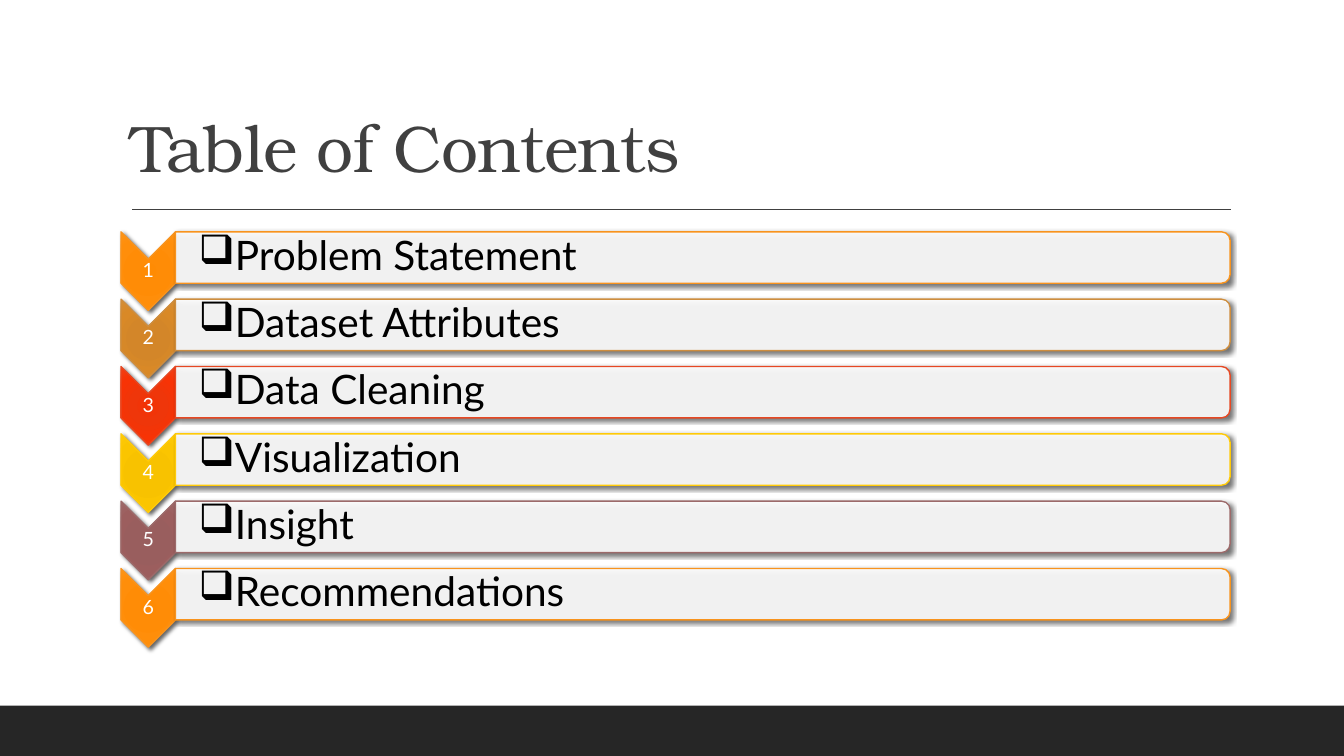
from lxml import etree
from pptx import Presentation
from pptx.dml.color import RGBColor
from pptx.enum.shapes import MSO_CONNECTOR, MSO_SHAPE
from pptx.enum.text import MSO_ANCHOR as ANCHOR, PP_ALIGN as ALIGN
from pptx.oxml import parse_xml
from pptx.oxml.ns import nsdecls, qn
from pptx.util import Inches, Pt

W, H = 13.33, 7.5
ORANGE = ("F8931D", ("FF8B03", "FF8C06", "FF8E0A", "FF9416"))
BRONZE = ("CE8D3E", ("D48526", "D38629", "D98927", "D58E37"))
RED = ("E64823", ("F23205", "EF360A", "F83305", "F04219"))
YELLOW = ("FFCA08", ("F5C000", "F8C200", "FBC500", "FFCA08"))
MAUVE = ("9C6A6A", ("985C5C", "995E5E", "9C5E5E", "9E6868"))
TOPICS = [
    ("Problem Statement", ORANGE),
    ("Dataset Attributes", BRONZE),
    ("Data Cleaning", RED),
    ("Visualization", YELLOW),
    ("Insight", MAUVE),
    ("Recommendations", ORANGE),
]
STOPS = (0, 34, 70, 100)


def rgb(hex_color):
    return RGBColor.from_string(hex_color)


def add_text(s, text, box, size, color, font="Lato", anchor=ANCHOR.MIDDLE,
             align=ALIGN.LEFT, insets=(0.1, 0.05, 0.1, 0.05)):
    tf = s.shapes.add_textbox(*map(Inches, box)).text_frame
    tf.word_wrap = True
    tf.vertical_anchor = anchor
    (tf.margin_left, tf.margin_top,
     tf.margin_right, tf.margin_bottom) = map(Inches, insets)
    p = tf.paragraphs[0]
    p.text = text
    p.alignment = align
    p.line_spacing = 0.9
    f = p.runs[0].font
    f.name, f.size, f.color.rgb = font, Pt(size), rgb(color)
    return p


def add_turned_shape(s, kind, x, y, w, h, line):
    """Add a shape turned by 90 degrees that fills the box x, y, w, h as seen."""
    sp = s.shapes.add_shape(kind, Inches(x + (w - h) / 2), Inches(y + (h - w) / 2),
                            Inches(h), Inches(w))
    sp.rotation = 90
    sp.line.color.rgb = rgb(line)
    sp.line.width = Pt(1)
    sp._element.spPr.append(parse_xml(
        f'<a:effectLst {nsdecls("a")}><a:outerShdw blurRad="38100" dist="25400" '
        'dir="2700000" algn="br" rotWithShape="0"><a:srgbClr val="000000">'
        '<a:alpha val="60000"/></a:srgbClr></a:outerShdw></a:effectLst>'))
    return sp


def fill_radial(sp, colors):
    stops = "".join(f'<a:gs pos="{pos * 1000}"><a:srgbClr val="{c}"/></a:gs>'
                    for pos, c in zip(STOPS, colors))
    sp._element.spPr.find(qn("a:prstGeom")).addnext(parse_xml(
        f'<a:gradFill {nsdecls("a")} rotWithShape="1"><a:gsLst>{stops}</a:gsLst>'
        '<a:path path="circle"><a:fillToRect l="100000" t="100000" r="100000" '
        'b="100000"/></a:path></a:gradFill>'))


def fill_translucent(sp, color, opacity):
    sp.fill.solid()
    sp.fill.fore_color.rgb = rgb(color)
    clr = sp._element.spPr.find(qn("a:solidFill"))[0]
    etree.SubElement(clr, qn("a:alpha")).set("val", str(opacity * 1000))


def add_bullet(p, char, indent):
    p.level = 1
    pPr = p._p.get_or_add_pPr()
    pPr.set("marL", str(Inches(indent)))
    pPr.set("indent", str(-Inches(indent)))
    etree.SubElement(pPr, qn("a:buChar")).set("char", char)


def add_footer_band(s, x, y, w, h):
    band = s.shapes.add_shape(MSO_SHAPE.RECTANGLE, *map(Inches, (x, y, w, h)))
    band.shadow.inherit = False
    band.fill.solid()
    band.fill.fore_color.rgb = rgb("262626")
    band.line.fill.background()


def add_title(s, x, y, w, h):
    """Set the title at the foot of the box, with a rule below it."""
    p = add_text(s, "Table of Contents", (x, y, w, h), 47, "404040",
                 font="TeX Gyre Bonum", anchor=ANCHOR.BOTTOM)
    p.runs[0]._r.get_or_add_rPr().set("spc", "-50")
    rule_y = Inches(y + h + 0.18)
    rule = s.shapes.add_connector(MSO_CONNECTOR.STRAIGHT, Inches(x + 0.11), rule_y,
                                  Inches(x + w + 0.01), rule_y)
    rule.line.color.rgb = rgb("404040")
    rule.line.width = Pt(1)
    etree.SubElement(rule._element.spPr, qn("a:effectLst"))


def add_topic(s, number, topic, theme, x, y, w, h):
    """Place a numbered chevron and, to its right, the bar with the topic."""
    line, colors = theme
    chevron_w, bar_h, notch = 0.54, 0.51, 0.27
    bar_x, bar_w = x + chevron_w, w - chevron_w

    chevron = add_turned_shape(s, MSO_SHAPE.CHEVRON, x, y, chevron_w, h, line)
    fill_radial(chevron, colors)
    add_text(s, str(number), (x, y + notch, chevron_w, h - 2 * notch), 14, "FFFFFF",
             align=ALIGN.CENTER, insets=[0.01] * 4)

    bar = add_turned_shape(s, MSO_SHAPE.ROUND_2_SAME_RECTANGLE,
                           bar_x, y, bar_w, bar_h, line)
    fill_translucent(bar, "FFFFFF", 90)
    p = add_text(s, topic, (bar_x, y + 0.02, bar_w, bar_h - 0.05), 29, "000000",
                 insets=(0.23, 0.02, 0.02, 0.02))
    add_bullet(p, "❑", 0.31)


def add_topic_list(s, x, y, w, h):
    chevron_h = 0.78
    pitch = (h - chevron_h) / (len(TOPICS) - 1)
    for i, (topic, theme) in enumerate(TOPICS):
        add_topic(s, i + 1, topic, theme, x, y + i * pitch, w, chevron_h)


def main():
    prs = Presentation()
    prs.slide_width, prs.slide_height = Inches(W), Inches(H)
    s = prs.slides.add_slide(prs.slide_layouts[6])
    add_footer_band(s, 0, H - 0.5, W, 0.5)
    add_title(s, 1.2, 0.31, 11, 1.59)
    add_topic_list(s, 1.2, 2.3, 11, 4.12)
    prs.save("out.pptx")


if __name__ == "__main__":
    main()
